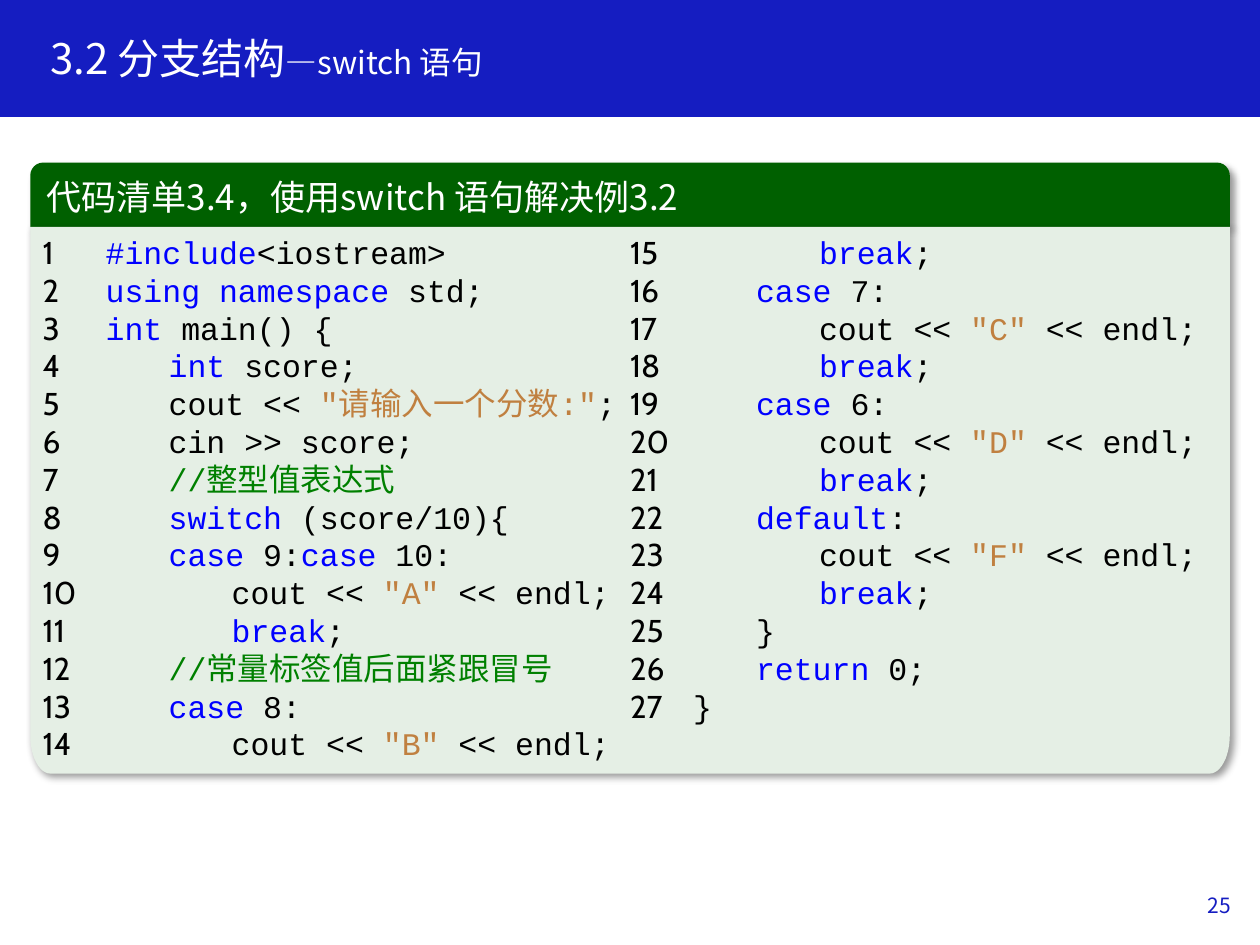
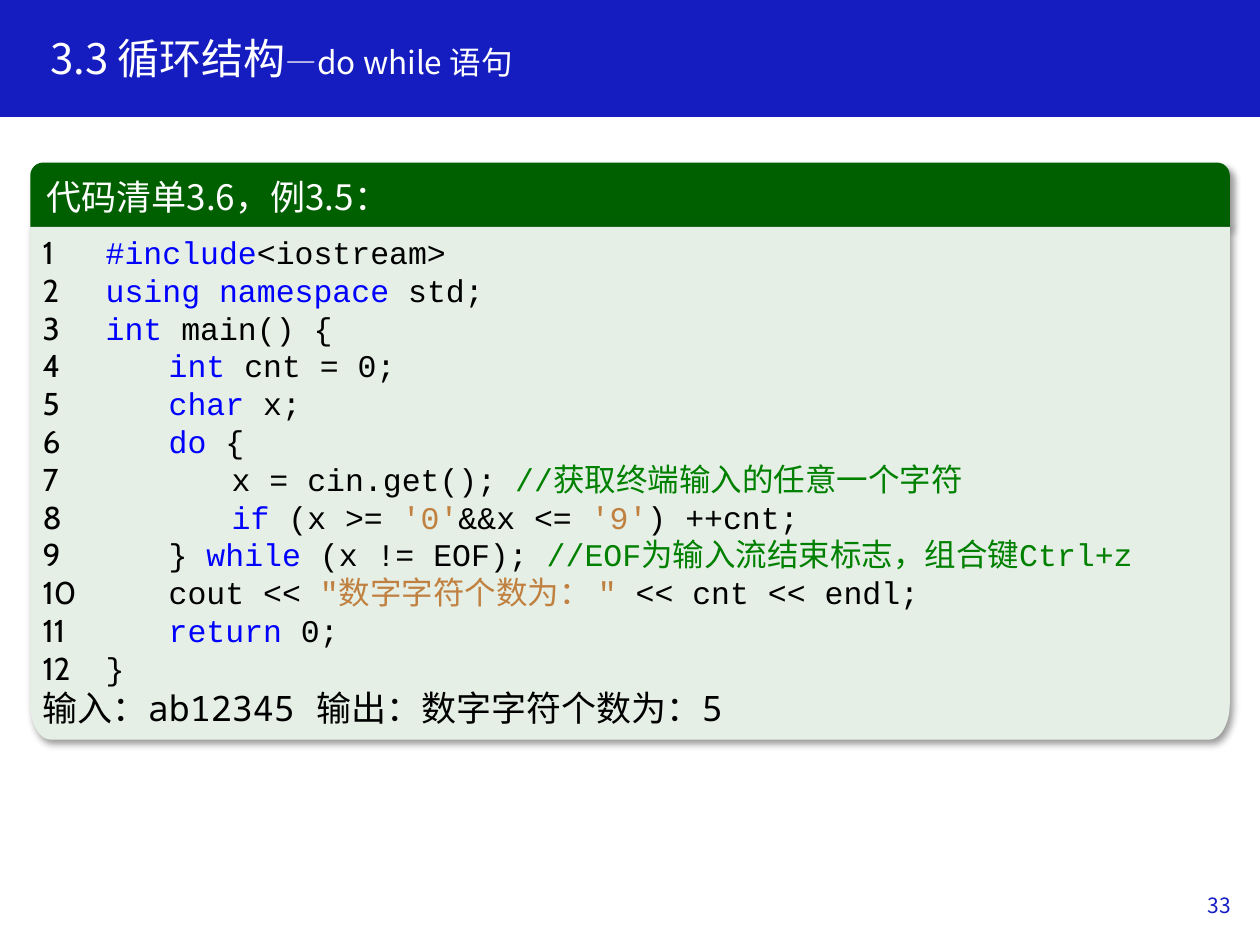
"""Build two lecture slides that show numbered C++ listings in a titled block."""
from dataclasses import dataclass
from itertools import groupby
from math import cos, pi, sin

from lxml.etree import SubElement
from pptx import Presentation
from pptx.dml.color import RGBColor
from pptx.enum.shapes import MSO_SHAPE as Shape
from pptx.enum.text import MSO_ANCHOR as Anchor, PP_ALIGN as Align
from pptx.oxml.ns import qn
from pptx.util import Inches, Pt


@dataclass(frozen=True)
class Theme:
    """Colours, fonts and type sizes shared by all slides."""
    band: str = "151DC1"
    header: str = "006000"
    panel: str = "E5EFE5"
    light: str = "FFFFFF"
    plain: str = "000000"
    keyword: str = "0000FF"
    literal: str = "C08040"
    comment: str = "008000"
    sans: str = "Noto Sans CJK SC"
    code: str = "Courier New"
    mono: str = "Noto Sans Mono"
    digits: str = "Cabin"
    title_size: int = 24
    block_size: int = 20
    code_size: int = 18
    page_size: int = 12


THEME = Theme()
KEYWORDS = {"#include", "using", "namespace", "int", "char", "switch", "case", "break",
            "default", "return", "do", "while", "if"}
TAB_COLUMNS = 5
BLOCK_LEFT, BLOCK_WIDTH = 2.4, 95.2
HEADER_TOP, HEADER_HEIGHT = 12.9, 5.1

SWITCH_CODE = """\
#include<iostream>
using namespace std;
int main() {
    int score;
    cout << "请输入一个分数:";
    cin >> score;
    //整型值表达式
    switch (score/10){
    case 9:case 10:
        cout << "A" << endl;
        break;
    //常量标签值后面紧跟冒号
    case 8:
        cout << "B" << endl;
        break;
    case 7:
        cout << "C" << endl;
        break;
    case 6:
        cout << "D" << endl;
        break;
    default:
        cout << "F" << endl;
        break;
    }
    return 0;
}"""

DO_WHILE_CODE = """\
#include<iostream>
using namespace std;
int main() {
    int cnt = 0;
    char x;
    do {
        x = cin.get(); //获取终端输入的任意一个字符
        if (x >= '0'&&x <= '9') ++cnt;
    } while (x != EOF); //EOF为输入流结束标志，组合键Ctrl+z
    cout << "数字字符个数为： " << cnt << endl;
    return 0;
}"""


def grid(cells):
    """Return the length of a number of cells on a 100 by 75 slide grid."""
    return Inches(cells / 10)


def area(left, top, width, height):
    """Return a rectangle given in grid cells."""
    return [grid(cells) for cells in (left, top, width, height)]


def add_span(para, text, font=THEME.sans, size=THEME.code_size, colour=THEME.plain):
    """Append text in one font, size and colour to a paragraph."""
    span = para.add_run()
    span.text = text
    span.font.name = font
    span.font.size = Pt(size)
    span.font.color.rgb = RGBColor.from_string(colour)
    SubElement(span.font._element, qn("a:ea"), typeface=font)


def add_mixed(para, text, latin, **style):
    """Append text with Chinese parts in the sans font and the rest in another."""
    chinese, part = False, ""
    for letter in text:
        now = ord(letter) > 0x2E80 or (chinese and letter == " ")
        if part and now != chinese:
            add_span(para, part, THEME.sans if chinese else latin, **style)
            part = ""
        chinese, part = now, part + letter
    add_span(para, part, THEME.sans if chinese else latin, **style)


def tokens(line):
    """Yield the pieces of a code line with their syntax colours."""
    body, slashes, remark = line.partition("//")
    quote = "'" if "'" in body else '"'
    for index, part in enumerate(body.split(quote)):
        if index % 2:
            yield quote + part + quote, THEME.literal
            continue
        for _, letters in groupby(part, lambda letter: letter.isalpha() or letter == "#"):
            word = "".join(letters)
            yield word, THEME.keyword if word in KEYWORDS else THEME.plain
    if slashes:
        yield slashes + remark, THEME.comment


def set_tabs(para, count=3):
    """Give a paragraph evenly spaced tab stops."""
    stops = SubElement(para._p.get_or_add_pPr(), qn("a:tabLst"))
    for number in range(1, count + 1):
        SubElement(stops, qn("a:tab"), pos=str(grid(number * TAB_COLUMNS)), algn="l")


def add_code(frame, code):
    """Write numbered, coloured code lines into a text frame."""
    for number, line in enumerate(code.splitlines(), 1):
        para = frame.paragraphs[0] if number == 1 else frame.add_paragraph()
        set_tabs(para)
        para.alignment = Align.LEFT
        source = line.lstrip()
        depth = (len(line) - len(source)) // 4
        add_span(para, f"{number} " + "\t" * (depth + 1), THEME.digits)
        for colour, pieces in groupby(tokens(source), lambda token: token[1]):
            add_mixed(para, "".join(text for text, _ in pieces), THEME.code, colour=colour)


def paint(shape, fill, line=None):
    """Set a solid fill and an optional outline and remove the default shadow."""
    shape.shadow.inherit = False
    shape.fill.solid()
    shape.fill.fore_color.rgb = RGBColor.from_string(fill)
    if line:
        shape.line.color.rgb = RGBColor.from_string(line)
        shape.line.width = Pt(1)
    else:
        shape.line.fill.background()


def cast_shadow(shape):
    """Add a soft shadow towards the lower right."""
    effects = shape._element.spPr.find(qn("a:effectLst"))
    shadow = SubElement(effects, qn("a:outerShdw"), blurRad=str(Pt(4)), dist=str(Pt(3)),
                        dir=str(45 * 60000), algn="tl", rotWithShape="0")
    black = SubElement(shadow, qn("a:srgbClr"), val=THEME.plain)
    SubElement(black, qn("a:alpha"), val="40000")


def add_text_box(page, bounds, align=Align.LEFT):
    """Add a wrapped, vertically centred text box and return its paragraph."""
    frame = page.shapes.add_textbox(*area(*bounds)).text_frame
    frame.word_wrap = True
    frame.vertical_anchor = Anchor.MIDDLE
    frame.paragraphs[0].alignment = align
    return frame.paragraphs[0]


def add_panel(page, top, height):
    """Add the code panel with rounded lower corners and return its text frame."""
    right, bottom = BLOCK_LEFT + BLOCK_WIDTH, top + height
    across, down, steps = 1.6, height * 0.07, 12
    angles = [pi / 2 * step / steps for step in range(steps + 1)]
    corner = [(across * (1 - cos(angle)), down * (1 - sin(angle))) for angle in angles]
    points = [(right, top)]
    points += [(right - dx, bottom - dy) for dx, dy in corner]
    points += [(BLOCK_LEFT + dx, bottom - dy) for dx, dy in reversed(corner)]
    outline = page.shapes.build_freeform(grid(BLOCK_LEFT), grid(top))
    outline.add_line_segments([(grid(x), grid(y)) for x, y in points], close=True)
    panel = outline.convert_to_shape()
    paint(panel, THEME.panel)
    cast_shadow(panel)
    panel.text_frame.word_wrap = True
    panel.text_frame.vertical_anchor = Anchor.TOP
    return panel.text_frame


def add_listing(page, heading, code, height, columns=1):
    """Add a headed code block and return the text frame of its panel."""
    header = page.shapes.add_shape(
        Shape.ROUND_2_SAME_RECTANGLE, *area(BLOCK_LEFT, HEADER_TOP, BLOCK_WIDTH, HEADER_HEIGHT))
    header.adjustments[0] = 0.2
    paint(header, THEME.header)
    cast_shadow(header)
    header.text_frame.vertical_anchor = Anchor.MIDDLE
    para = header.text_frame.paragraphs[0]
    para.alignment = Align.LEFT
    add_span(para, heading, size=THEME.block_size, colour=THEME.light)
    frame = add_panel(page, HEADER_TOP + HEADER_HEIGHT, height)
    frame._txBody.bodyPr.set("numCol", str(columns))
    add_code(frame, code)
    return frame


def add_page(deck, section, topic, number):
    """Add a slide with its title band and page number."""
    page = deck.slides.add_slide(deck.slide_layouts[6])
    band = page.shapes.add_shape(Shape.RECTANGLE, *area(0, 0, 100, 9.2))
    paint(band, THEME.band, THEME.band)
    title = add_text_box(page, (3, 2.3, 57.4, 5.1))
    title.line_spacing = 0.9
    add_span(title, section, size=THEME.title_size, colour=THEME.light)
    add_span(title, f"—{topic} 语句", colour=THEME.light)
    footer = add_text_box(page, (76.2, 69.8, 22.5, 4), Align.RIGHT)
    add_span(footer, str(number), size=THEME.page_size, colour=THEME.band)
    return page


def main():
    """Build and save the deck."""
    deck = Presentation()
    deck.slide_width, deck.slide_height = grid(100), grid(75)

    page = add_page(deck, "3.2 分支结构", "switch", 25)
    add_listing(page, "代码清单3.4，使用switch 语句解决例3.2", SWITCH_CODE, 43.4, columns=2)

    page = add_page(deck, "3.3 循环结构", "do while", 33)
    frame = add_listing(page, "代码清单3.6，例3.5：", DO_WHILE_CODE, 40.7)
    result = frame.add_paragraph()
    result.alignment = Align.LEFT
    add_mixed(result, "输入：ab12345 输出：数字字符个数为：5", THEME.mono, size=THEME.block_size)

    deck.save("out.pptx")


if __name__ == "__main__":
    main()
